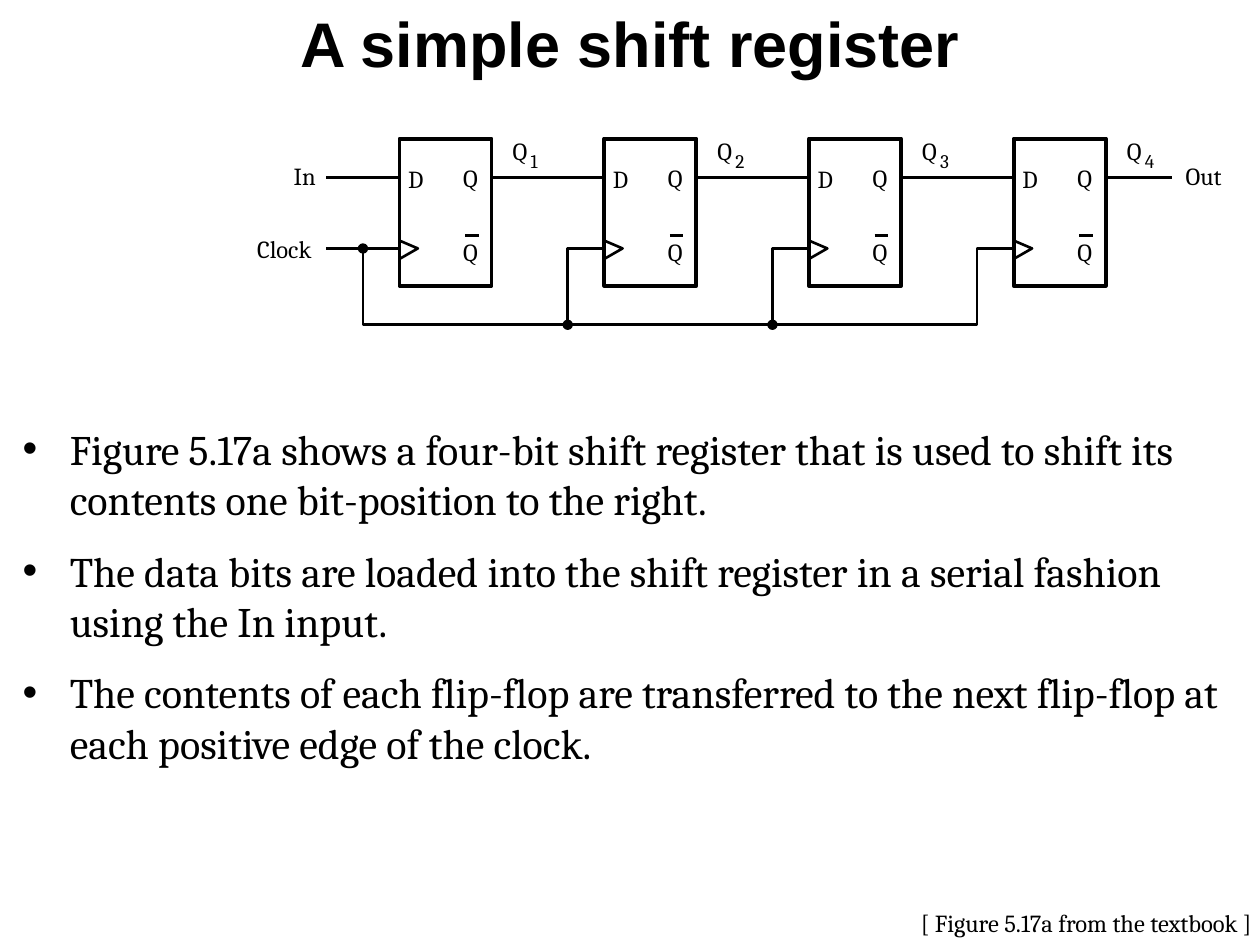
from lxml import etree
from pptx import Presentation
from pptx.dml.color import RGBColor
from pptx.enum.shapes import MSO_CONNECTOR, MSO_SHAPE
from pptx.enum.text import MSO_ANCHOR, MSO_AUTO_SIZE, PP_ALIGN
from pptx.oxml.ns import qn
from pptx.util import Pt

BLACK = RGBColor(0, 0, 0)
WHITE = RGBColor(255, 255, 255)
STRAIGHT = MSO_CONNECTOR.STRAIGHT
RECT, OVAL = MSO_SHAPE.RECTANGLE, MSO_SHAPE.OVAL
GROW = MSO_AUTO_SIZE.SHAPE_TO_FIT_TEXT
CENTER, MIDDLE = PP_ALIGN.CENTER, MSO_ANCHOR.MIDDLE

# Circuit geometry in points
STAGES = 4
PITCH = 117
BOX_X, BOX_Y, BOX_W, BOX_H = 228.3, 79.2, 52.6, 84.2
DATA_Y, CLOCK_Y, BUS_Y = 101.6, 142, 185.6
INPUT_X, OUTPUT_X = 186.5, 669.6
TAP = 20.9  # distance from a clock drop to its flip-flop
DOT = 4.4

prs = Presentation()
prs.slide_width, prs.slide_height = Pt(720), Pt(540)
s = prs.slides.add_slide(prs.slide_layouts[5])
shapes = s.shapes


def add_label(text, x, y, w, h, size=14, margin=0):
    sp = shapes.add_textbox(Pt(x), Pt(y), Pt(w), Pt(h))
    tf = sp.text_frame
    tf.word_wrap = False
    tf.auto_size = GROW
    if margin == 0:
        tf.margin_left = tf.margin_right = tf.margin_top = tf.margin_bottom = 0
    p = tf.paragraphs[0]
    p.text = text
    p.font.name, p.font.size, p.font.color.rgb = "Cambria", Pt(size), BLACK


def add_wire(*points):
    if len(points) == 2:
        (x1, y1), (x2, y2) = points
        sp = shapes.add_connector(STRAIGHT, Pt(x1), Pt(y1), Pt(x2), Pt(y2))
        etree.SubElement(sp._element.spPr, qn("a:effectLst"))
    else:
        corners = [(Pt(x), Pt(y)) for x, y in points]
        builder = shapes.build_freeform(*corners[0])
        builder.add_line_segments(corners[1:], close=False)
        sp = builder.convert_to_shape()
        sp.fill.background()
        sp.shadow.inherit = False
    sp.line.color.rgb, sp.line.width = BLACK, Pt(1.5)


# Title
title = shapes.title
title.left, title.top, title.width, title.height = 0, 0, Pt(720), Pt(48.2)
tf = title.text_frame
tf.vertical_anchor = MIDDLE
p = tf.paragraphs[0]
p.text = "A simple shift register"
p.alignment = CENTER
p.font.name, p.font.size, p.font.bold = "Arial", Pt(36), True
p.font.color.rgb = BLACK

# Flip-flops with pin labels, clock wedge and output wire
for i in range(STAGES):
    x = BOX_X + i * PITCH
    right = x + BOX_W
    box = shapes.add_shape(RECT, Pt(x), Pt(BOX_Y), Pt(BOX_W), Pt(BOX_H))
    box.shadow.inherit = False
    box.fill.solid()
    box.fill.fore_color.rgb = WHITE
    box.line.color.rgb, box.line.width = BLACK, Pt(2.25)

    add_label("D", x + 5, 93.6, 19.4, 18.7)
    add_label("Q", x + 36.3, 93, 19.4, 18.7)
    add_label("Q", x + 36.3, 135.4, 19.4, 18.7)
    add_wire((x + 37.5, 134.6), (x + 45.2, 134.6))
    add_wire((x, 148), (x + 10.5, CLOCK_Y), (x, 137.5))

    last = i == STAGES - 1
    add_wire((right, DATA_Y), (OUTPUT_X if last else x + PITCH, DATA_Y))
    add_label("Q", x + 64.6, 77.8, 19.4, 18.7)
    add_label(str(i + 1), x + 74.9, 85, 13, 15.1, size=11)

# Data input and clock distribution
add_wire((INPUT_X, DATA_Y), (BOX_X, DATA_Y))
first_tap = BOX_X - TAP
last_box = BOX_X + (STAGES - 1) * PITCH
add_wire((INPUT_X, CLOCK_Y), (first_tap, CLOCK_Y), (first_tap, BUS_Y),
         (last_box - TAP, BUS_Y), (last_box - TAP, CLOCK_Y), (last_box, CLOCK_Y))
add_wire((first_tap, CLOCK_Y), (BOX_X, CLOCK_Y))
for i in range(1, STAGES - 1):
    x = BOX_X + i * PITCH
    add_wire((x - TAP, BUS_Y), (x - TAP, CLOCK_Y), (x, CLOCK_Y))

# Junction dots
for i in range(STAGES - 1):
    x = first_tap + i * PITCH
    y = BUS_Y if i else CLOCK_Y
    dot = shapes.add_shape(OVAL, Pt(x - DOT / 2), Pt(y - DOT / 2), Pt(DOT), Pt(DOT))
    dot.shadow.inherit = False
    dot.fill.solid()
    dot.fill.fore_color.rgb = BLACK
    dot.line.color.rgb, dot.line.width = BLACK, Pt(1.5)

# Terminal names and figure reference
add_label("In", 167.8, 92.2, 17.3, 18.7)
add_label("Clock", 146.9, 133.9, 42.5, 18.7)
add_label("Out", 677.5, 92.2, 30.2, 18.7)
add_label("[ Figure 5.17a from the textbook ]", 519.1, 515.5, 207.4, 24.5, margin=None)

# Explanation bullets
BULLETS = [
    "Figure 5.17a shows a four-bit shift register that is used to shift its "
    "contents one bit-position to the right.",
    "The data bits are loaded into the shift register in a serial fashion "
    "using the In input.",
    "The contents of each flip-flop are transferred to the next flip-flop at "
    "each positive edge of the clock.",
]
body = shapes.add_textbox(Pt(5.8), Pt(238.3), Pt(707.8), Pt(205.9))
tf = body.text_frame
tf.word_wrap = True
tf.auto_size = GROW
for i, text in enumerate(BULLETS):
    p = tf.add_paragraph() if i else tf.paragraphs[0]
    p.text = text
    p.space_before = p.space_after = Pt(6)
    p.font.name, p.font.size, p.font.color.rgb = "Cambria", Pt(24), BLACK
    pPr = p._p.get_or_add_pPr()
    pPr.set("marL", str(Pt(27)))
    pPr.set("indent", str(-Pt(27)))
    bullet_font = etree.Element(qn("a:buFont"), typeface="Arial")
    bullet = etree.Element(qn("a:buChar"), char="•")
    pPr.find(qn("a:spcAft")).addnext(bullet_font)
    bullet_font.addnext(bullet)

prs.save("out.pptx")
